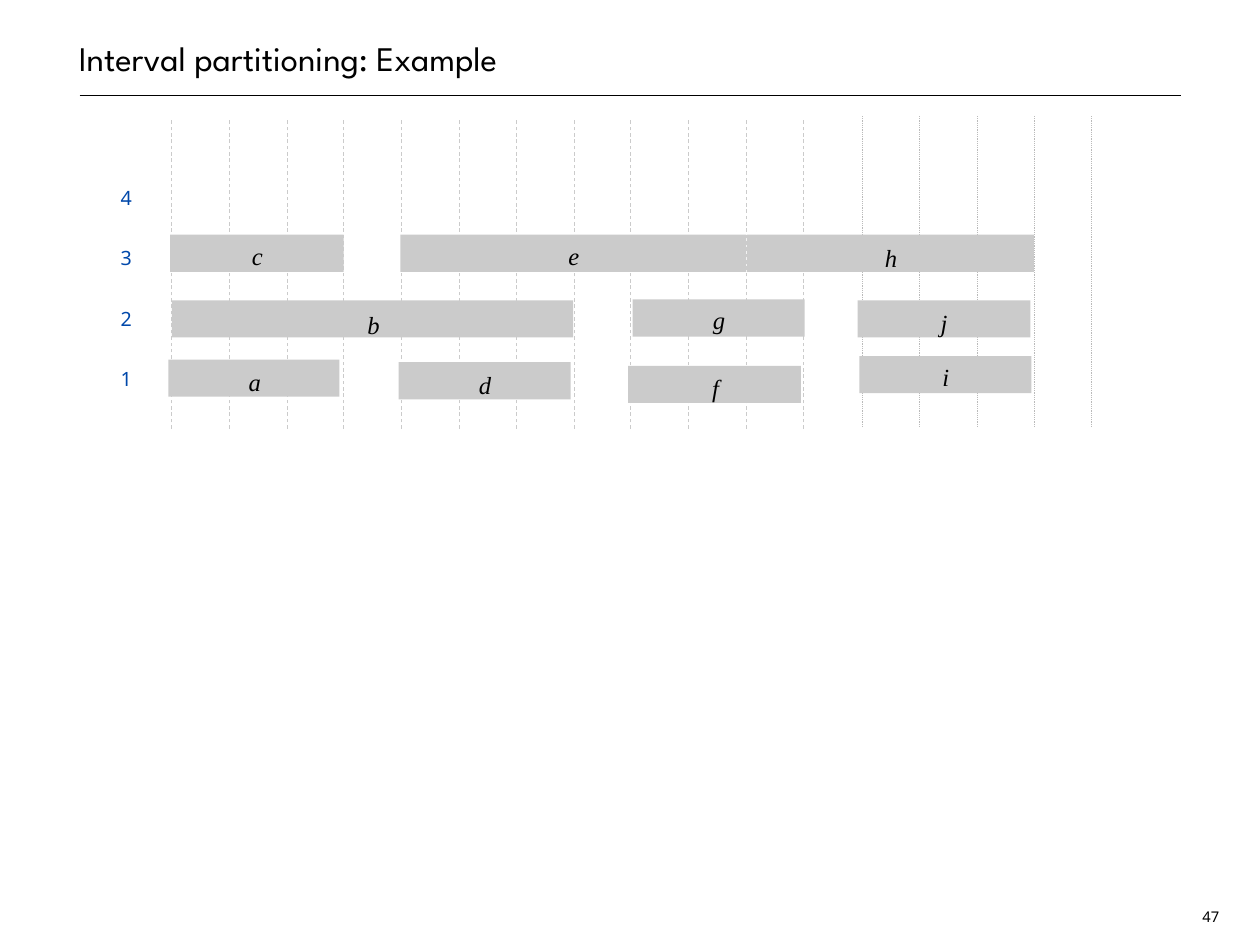
from lxml.etree import SubElement as Sub
from pptx import Presentation
from pptx.dml.color import RGBColor
from pptx.enum.dml import MSO_LINE as Dash
from pptx.enum.shapes import MSO_CONNECTOR as Conn, MSO_SHAPE as Kind
from pptx.enum.text import MSO_ANCHOR as Anchor, MSO_AUTO_SIZE as Fit, PP_ALIGN as Align
from pptx.oxml.ns import qn
from pptx.util import Pt

UNIT = 9144  # EMU in one px, 100 px to the inch


def px(*nums):
    return [round(n) * UNIT for n in nums]


def tint(code):
    return RGBColor.from_string(code)


class Deck:
    sans, serif, head = "Noto Sans", "Times New Roman", "League Spartan"
    ink, blue, gray, dots = "000000", "0048AA", "CBCBCB", "BABABA"

    def __init__(self, wide, high):
        self.file = Presentation()
        self.file.slide_width, self.file.slide_height = px(wide, high)
        self.page = self.file.slides.add_slide(self.file.slide_layouts[6])

    def line(self, x1, y1, x2, y2, color, width, dash=None):
        line = self.page.shapes.add_connector(Conn.STRAIGHT, *px(x1, y1, x2, y2))
        line.line.color.rgb = tint(color)
        line.line.width = Pt(width)
        if dash:
            line.line.dash_style = dash
        Sub(line._element.spPr, qn("a:effectLst"))

    def text(self, words, x, y, w, h, size, font, color, italic=False, space=1.3,
             align=Align.CENTER, anchor=Anchor.TOP, inset=0, grow=True, home=None):
        box = (home or self.page).shapes.add_textbox(*px(x, y, w, h))
        frame = box.text_frame
        frame.word_wrap = not grow
        frame.auto_size = Fit.SHAPE_TO_FIT_TEXT if grow else Fit.NONE
        frame.vertical_anchor = anchor
        frame.margin_left = frame.margin_right = inset * UNIT
        frame.margin_top = frame.margin_bottom = inset * UNIT
        para = frame.paragraphs[0]
        para.alignment = align
        para.line_spacing = space
        run = para.add_run()
        run.text = words
        run.font.size = Pt(size)
        run.font.name = font
        run.font.italic = italic
        run.font.color.rgb = tint(color)

    def bar(self, name, x, y, w, top):
        # A job: a gray bar grouped with its centred letter
        group = self.page.shapes.add_group_shape()
        rect = group.shapes.add_shape(Kind.RECTANGLE, *px(x, y, w, 42))
        rect.shadow.inherit = False
        rect.fill.solid()
        rect.fill.fore_color.rgb = tint(self.gray)
        rect.line.fill.background()
        self.text(name, x + w / 2 - 7, top, 15, 33, 20, self.serif, self.ink,
                  italic=True, anchor=Anchor.MIDDLE, home=group)


def main():
    deck = Deck(1422, 1067)

    # Title, rule and page number
    deck.line(90, 108, 1333, 108, deck.ink, 1)
    deck.text("Interval partitioning: Example", 89, 0, 1244, 89, 28, deck.head, deck.ink,
              space=Pt(38), align=Align.LEFT, anchor=Anchor.BOTTOM, grow=False)
    deck.text("47", 1351, 1022, 31, 24, 12, deck.sans, deck.ink, space=Pt(14), inset=4)

    # Time grid: dashed lines, then dotted ones
    step = 64.8
    for i in range(12):
        deck.line(194 + i * step, 484, 194 + i * step, 133, deck.gray, 0.75, Dash.DASH)
    for i in range(5):
        deck.line(973 + i * step, 482, 973 + i * step, 131, deck.dots, 0.75, Dash.ROUND_DOT)

    # Jobs: name, left, top, width, top of letter
    jobs = [
        ("h", 843, 265, 324, 269),
        ("c", 192, 265, 196, 267),
        ("b", 194, 339, 453, 345),
        ("a", 190, 406, 193, 409),
        ("e", 452, 265, 390, 267),
        ("d", 450, 409, 194, 413),
        ("g", 714, 338, 194, 339),
        ("f", 709, 413, 195, 416),
        ("j", 968, 339, 195, 343),
        ("i", 970, 402, 194, 404),
    ]
    for job in jobs:
        deck.bar(*job)

    # Row numbers, from the bottom up
    for i in range(4):
        deck.text(str(i + 1), 135, 406 - 68 * i, 15, 20, 16, deck.sans, deck.blue)

    deck.file.save("out.pptx")


if __name__ == "__main__":
    main()
